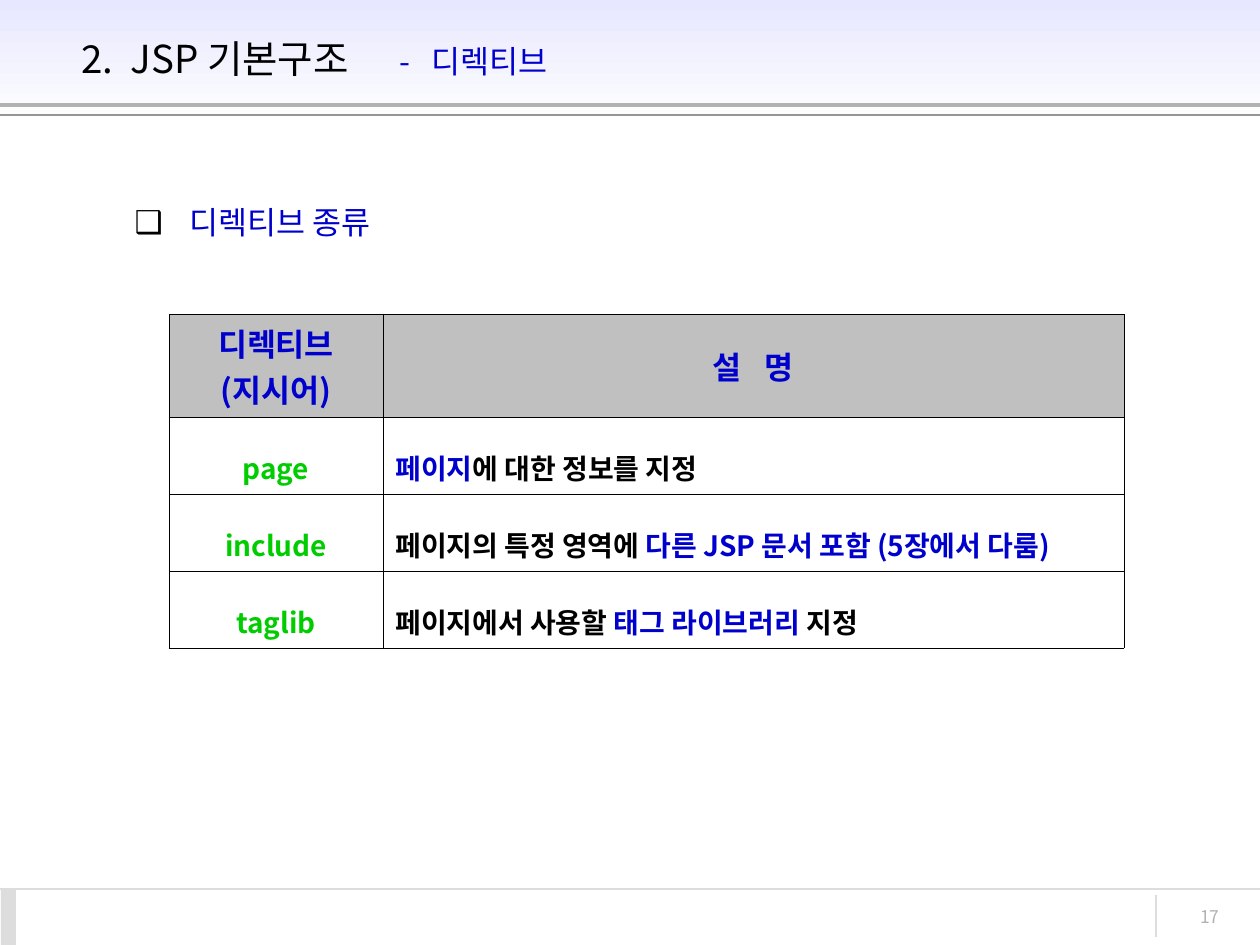
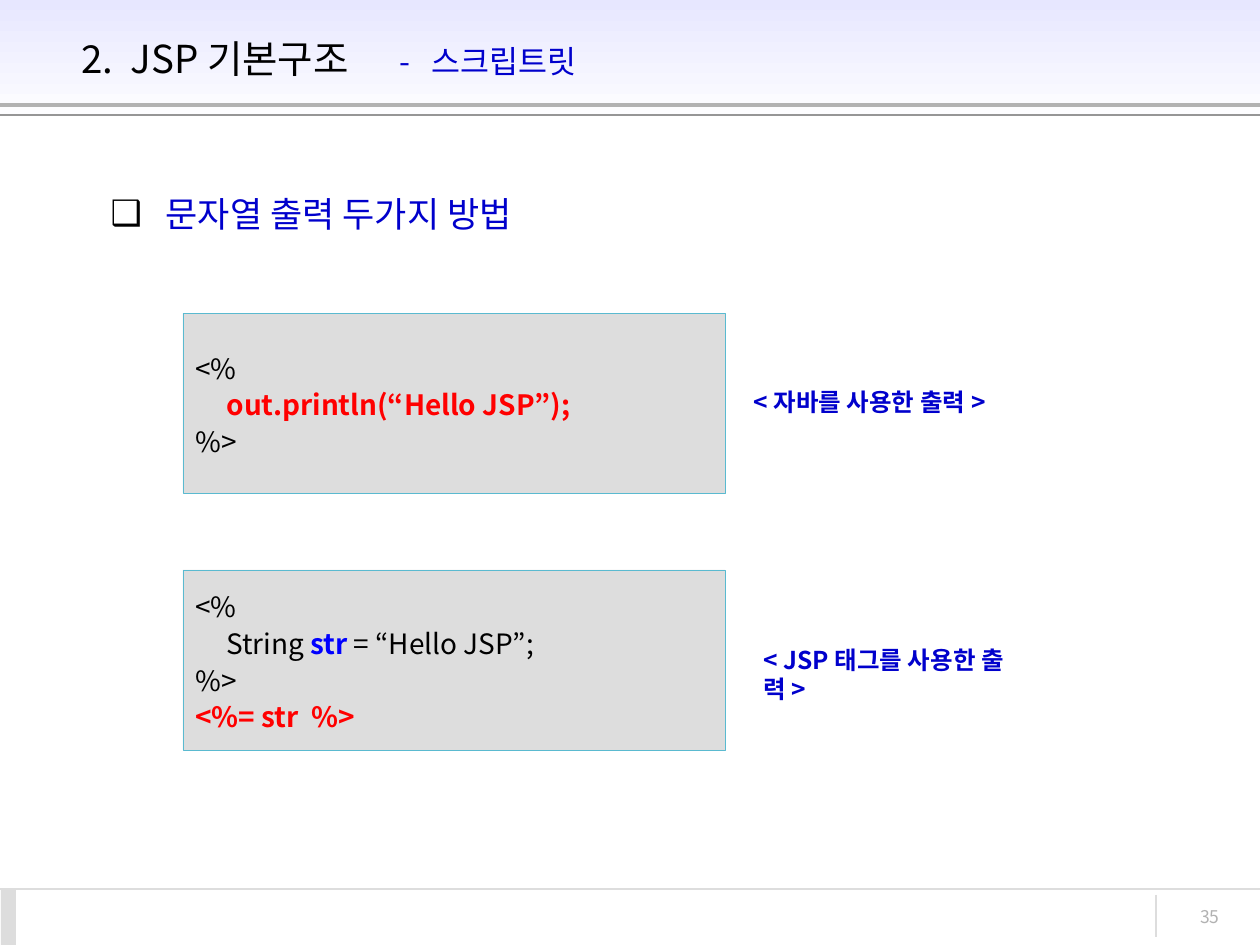
from lxml.etree import SubElement
from pptx import Presentation
from pptx.dml.color import RGBColor
from pptx.enum.shapes import MSO_CONNECTOR, MSO_SHAPE
from pptx.enum.text import MSO_ANCHOR as Anchor, MSO_AUTO_SIZE, PP_ALIGN as Align
from pptx.oxml.ns import qn
from pptx.util import Emu, Pt

EMU_PER_PX = 914400 / 126
FONT = "Noto Sans CJK KR"

BLACK = RGBColor(0x00, 0x00, 0x00)
BLUE = RGBColor(0x00, 0x00, 0xCC)
CODE_BLUE = RGBColor(0x00, 0x00, 0xFF)
GREEN = RGBColor(0x00, 0xCC, 0x00)
RED = RGBColor(0xFF, 0x00, 0x00)
BANNER_TOP = RGBColor(0xE7, 0xE7, 0xFF)
WHITE = RGBColor(0xFF, 0xFF, 0xFF)
HEADER_GRAY = RGBColor(0xC0, 0xC0, 0xC0)
PALE_GRAY = RGBColor(0xDD, 0xDD, 0xDD)
RULE_GRAY = RGBColor(0xB2, 0xB2, 0xB2)
DARK_RULE = RGBColor(0x96, 0x96, 0x96)
CODE_EDGE = RGBColor(0x5A, 0xBA, 0xD0)


def px(length):
    return Emu(round(length * EMU_PER_PX))


def px_all(*lengths):
    return [px(length) for length in lengths]


def add_run(paragraph, text, size, color, bold=False):
    """Add an unkerned run, so that Korean word spaces keep their full width."""
    run = paragraph.add_run()
    run.text = text
    font = run.font
    font.name, font.size, font.bold = FONT, Pt(size), bold
    font.color.rgb = color
    font._element.set("kern", "0")
    SubElement(font._element, qn("a:ea"), typeface=FONT)


def write_lines(frame, lines, size, align=Align.LEFT, spacing=None):
    """Fill a text frame; each line is a list of (text, color[, bold]) runs."""
    for index, line in enumerate(lines):
        paragraph = frame.paragraphs[0] if index == 0 else frame.add_paragraph()
        paragraph.alignment = align
        paragraph.line_spacing = spacing
        for run in line:
            add_run(paragraph, run[0], size, *run[1:])


def place(shape, *box):
    shape.left, shape.top, shape.width, shape.height = px_all(*box)


def add_rule(slide, start, end, color, weight):
    rule = slide.shapes.add_connector(MSO_CONNECTOR.STRAIGHT, *px_all(*start, *end))
    rule.line.color.rgb = color
    rule.line.width = Pt(weight)
    SubElement(rule._element.spPr, qn("a:effectLst"))
    return rule


def add_block(slide, *box):
    block = slide.shapes.add_shape(MSO_SHAPE.RECTANGLE, *px_all(*box))
    block.shadow.inherit = False
    block.fill.solid()
    block.fill.fore_color.rgb = PALE_GRAY
    block.line.fill.background()
    return block


def add_text(slide, box, size, color, align=Align.LEFT):
    """Add an empty wrapped text box and return its first paragraph and writer."""
    frame = slide.shapes.add_textbox(*px_all(*box)).text_frame
    frame.word_wrap = True
    paragraph = frame.paragraphs[0]
    paragraph.alignment = align

    def write(text, bold=False):
        add_run(paragraph, text, size, color, bold)

    return paragraph, write


def decorate_master(master, slide):
    """Draw the band and rules on a slide, then move them behind the master."""
    banner = add_block(slide, 0, 0, 1260, 126)
    banner.fill.gradient()
    banner.fill.gradient_angle = 270
    for stop, color in zip(banner.fill.gradient_stops, (BANNER_TOP, WHITE)):
        stop.color.rgb = color
    decorations = [
        banner,
        add_rule(slide, (0, 105), (1260, 105), RULE_GRAY, 2.25),
        add_rule(slide, (0, 115), (1260, 115), DARK_RULE, 0.75),
        add_rule(slide, (0, 889), (1260, 889), PALE_GRAY, 0.75),
        add_block(slide, 1, 889, 15, 56),
        add_rule(slide, (1156, 895), (1156, 937), PALE_GRAY, 0.75),
    ]
    for index, decoration in enumerate(decorations):
        element = decoration._element
        element.xpath(".//p:cNvPr")[0].set("id", str(100 + index))
        master.shapes.element.insert(2 + index, element)


def write_title(slide, topic):
    title = slide.shapes.title
    place(title, 69, 15, 1087, 86)
    frame = title.text_frame
    frame.auto_size = MSO_AUTO_SIZE.NONE
    frame.vertical_anchor = Anchor.MIDDLE
    paragraph = frame.paragraphs[0]
    paragraph.alignment = Align.LEFT
    tabs = SubElement(paragraph._p.get_or_add_pPr(), qn("a:tabLst"))
    for position in (49, 318, 350):
        SubElement(tabs, qn("a:tab"), pos=str(px(position)), algn="l")
    add_run(paragraph, "2.\tJSP 기본구조\t", 22, BLACK)
    add_run(paragraph, f"-\t{topic}", 18, BLUE)


def write_heading(slide, left, top, text, size):
    body = slide.placeholders[1]
    place(body, left, top, 1092, 624)
    body.text_frame.auto_size = MSO_AUTO_SIZE.NONE
    paragraph = body.text_frame.paragraphs[0]
    paragraph.space_before = Pt(0)
    properties = paragraph._p.get_or_add_pPr()
    properties.set("marL", str(px(55)))
    properties.set("indent", str(px(-55)))
    bullet_color = SubElement(properties, qn("a:buClr"))
    SubElement(bullet_color, qn("a:srgbClr"), val=str(BLACK))
    SubElement(properties, qn("a:buChar"), char="❑")
    add_run(paragraph, text, size, BLUE)


def add_content_slide(prs, topic, page):
    slide = prs.slides.add_slide(prs.slide_layouts[1])
    write_title(slide, topic)
    _, write = add_text(slide, (1116, 900, 116, 42), 10, RULE_GRAY, Align.RIGHT)
    write(page)
    return slide


def outline_cell(cell):
    properties = cell._tc.get_or_add_tcPr()
    for index, side in enumerate(("lnL", "lnR", "lnT", "lnB")):
        border = SubElement(properties, qn(f"a:{side}"), w=str(Pt(0.11)))
        fill = SubElement(border, qn("a:solidFill"))
        SubElement(fill, qn("a:srgbClr"), val=str(BLACK))
        properties.insert(index, border)


def fill_cell(cell, lines, size, align, fill=None, spacing=None):
    cell.vertical_anchor = Anchor.MIDDLE
    if fill is None:
        cell.fill.background()
    else:
        cell.fill.solid()
        cell.fill.fore_color.rgb = fill
    outline_cell(cell)
    write_lines(cell.text_frame, lines, size, align, spacing)


def add_directive_table(slide, headers, directives):
    row_count = len(directives) + 1
    table = slide.shapes.add_table(row_count, 2, *px_all(169, 314, 955, 334)).table
    table.first_row = table.horz_banding = False
    for column, width in zip(table.columns, (214, 741)):
        column.width = px(width)
    for index, row in enumerate(table.rows):
        row.height = px(77 if index else 103)
    for column, lines in enumerate(headers):
        header_lines = [[(line, BLUE, True)] for line in lines]
        fill_cell(table.cell(0, column), header_lines, 18, Align.CENTER, HEADER_GRAY)
    for row, (name, description) in enumerate(directives, 1):
        fill_cell(table.cell(row, 0), [[(name, GREEN, True)]], 16, Align.CENTER, spacing=1.6)
        runs = [(text, color, True) for text, color in description]
        fill_cell(table.cell(row, 1), [runs], 16, Align.JUSTIFY, spacing=1.6)
    return table


def add_code(slide, top, lines):
    panel = add_block(slide, 183, top, 542, 180)
    panel.line.color.rgb = CODE_EDGE
    panel.line.width = Pt(0.25)
    frame = panel.text_frame
    frame.word_wrap = True
    frame.vertical_anchor = Anchor.MIDDLE
    write_lines(frame, lines, 16, spacing=Pt(21))


def add_caption(slide, left, top, *rows):
    """Add one caption paragraph, broken into the given rows."""
    paragraph, write = add_text(slide, (left, top, 300, 43), 14, BLUE)
    paragraph.line_spacing = Pt(16.5)
    for index, row in enumerate(rows):
        if index:
            paragraph.add_line_break()
        write(row, bold=True)


def build_directives(slide):
    write_heading(slide, 122, 197, "디렉티브 종류", 18)
    table = add_directive_table(
        slide,
        [("디렉티브", "(지시어)"), ("설 명",)],
        [
            ("page", [("페이지", BLUE), ("에 대한 정보를 지정", BLACK)]),
            ("include", [("페이지의 특정 영역에 ", BLACK),
                         ("다른 JSP 문서 포함 (5장에서 다룸)", BLUE)]),
            ("taglib", [("페이지에서 사용할 ", BLACK), ("태그 라이브러리", BLUE),
                        (" 지정", BLACK)]),
        ],
    )
    description_header = table.cell(0, 1).text_frame.paragraphs[0].runs[0]
    description_header.font._element.set("spc", "450")


def build_scriptlets(slide):
    write_heading(slide, 98, 186, "문자열 출력 두가지 방법", 20)
    opening, closing = [("<%", BLACK)], [("%>", BLACK)]
    add_code(slide, 313, [
        opening,
        [("     ", BLACK), ("out.println(“Hello JSP”);", RED, True)],
        closing,
    ])
    add_code(slide, 570, [
        opening,
        [("     String ", BLACK), ("str", CODE_BLUE, True), (" = “Hello JSP”;", BLACK)],
        closing,
        [("<%= str  %>", RED, True)],
    ])
    add_caption(slide, 741, 381, "< 자바를 사용한 출력 >")
    add_caption(slide, 751, 639, "< JSP 태그를 사용한 출", "력 >")


def main():
    prs = Presentation()
    prs.slide_width, prs.slide_height = px_all(1260, 945)
    directives = add_content_slide(prs, "디렉티브", "17")
    decorate_master(prs.slide_master, directives)
    build_directives(directives)
    build_scriptlets(add_content_slide(prs, "스크립트릿", "35"))
    prs.save("out.pptx")


if __name__ == "__main__":
    main()
